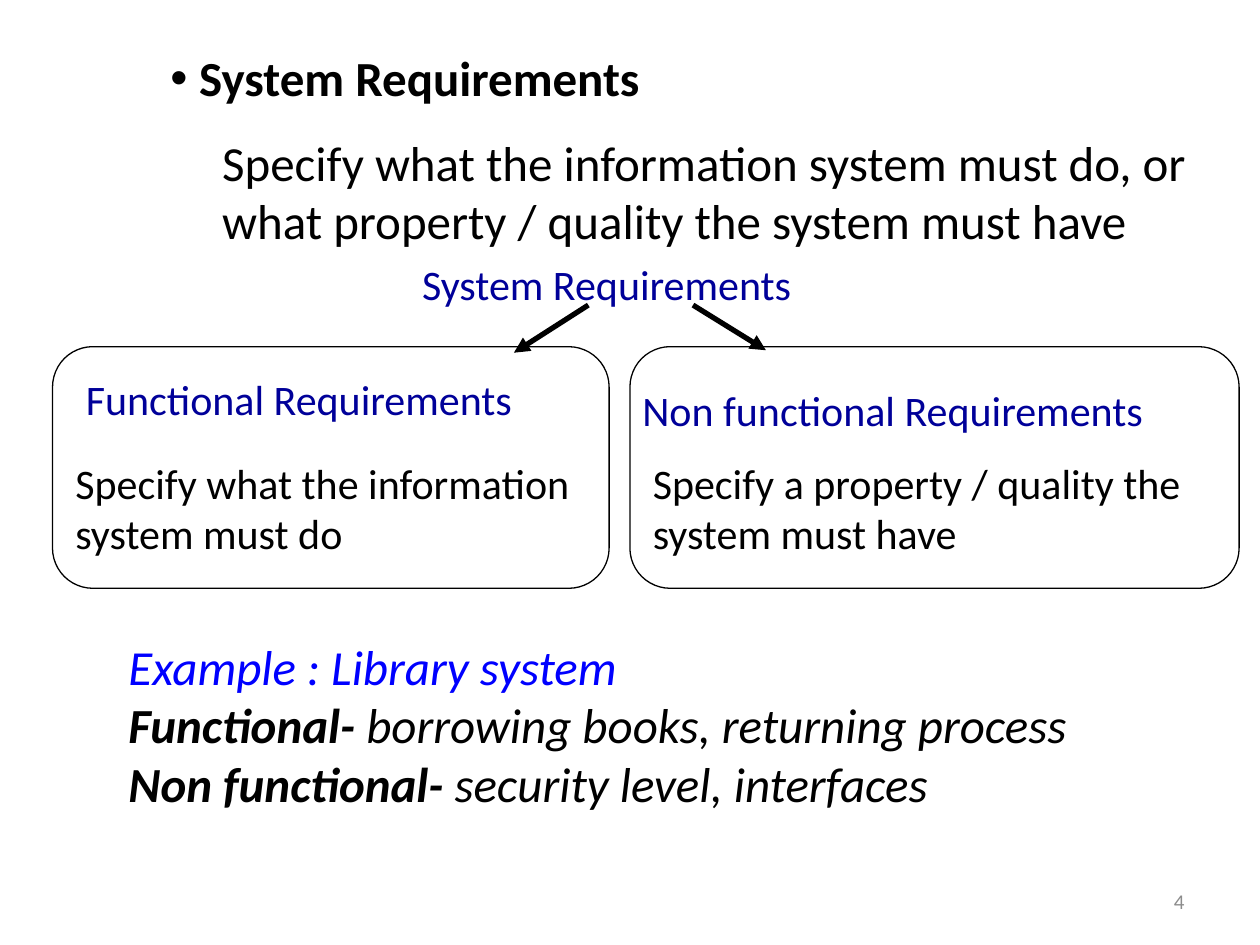
"""Build a slide that splits system requirements into functional and non functional ones."""
from dataclasses import dataclass

from lxml import etree
from pptx import Presentation
from pptx.dml.color import RGBColor
from pptx.enum.shapes import MSO_CONNECTOR, MSO_SHAPE
from pptx.enum.text import MSO_ANCHOR, MSO_AUTO_SIZE, PP_ALIGN
from pptx.oxml.ns import qn
from pptx.util import Cm, Pt

STRAIGHT = MSO_CONNECTOR.STRAIGHT
ROUNDED = MSO_SHAPE.ROUNDED_RECTANGLE
TOP, MIDDLE = MSO_ANCHOR.TOP, MSO_ANCHOR.MIDDLE
NO_FIT = MSO_AUTO_SIZE.NONE
LEFT, RIGHT = PP_ALIGN.LEFT, PP_ALIGN.RIGHT


@dataclass(frozen=True)
class Theme:
    font: str = "Calibri"
    ink: RGBColor = RGBColor(0x00, 0x00, 0x00)
    heading: RGBColor = RGBColor(0x00, 0x00, 0x99)
    example: RGBColor = RGBColor(0x00, 0x00, 0xFF)
    muted: RGBColor = RGBColor(0x8C, 0x8C, 0x8C)
    large: Pt = Pt(28)
    medium: Pt = Pt(24)
    small: Pt = Pt(12)
    outline: Pt = Pt(0.75)
    arrow: Pt = Pt(3)


THEME = Theme()


def add_run(paragraph, text, size, color, bold=False, italic=False):
    run = paragraph.add_run()
    run.text = text
    run.font.name = THEME.font
    run.font.size = size
    run.font.color.rgb = color
    run.font.bold = bold
    run.font.italic = italic


def add_text_frame(left, top, width, height):
    frame = slide.shapes.add_textbox(Cm(left), Cm(top), Cm(width), Cm(height)).text_frame
    frame.word_wrap = True
    return frame


prs = Presentation()
prs.slide_width, prs.slide_height = Cm(25.4), Cm(19.05)
slide = prs.slides.add_slide(prs.slide_layouts[5])

title = slide.shapes.title
title.left, title.top, title.width, title.height = Cm(3.18), Cm(0.84), Cm(16.3), Cm(1.45)
title.text_frame.auto_size = NO_FIT
title.text_frame.vertical_anchor = TOP
topic = title.text_frame.paragraphs[0]
topic.alignment = LEFT
topic_properties = topic._p.get_or_add_pPr()
topic_properties.set("marL", str(Cm(0.58)))
topic_properties.set("indent", str(-Cm(0.58)))
etree.SubElement(topic_properties, qn("a:buFont"), typeface="Arial")
etree.SubElement(topic_properties, qn("a:buChar"), char="•")
add_run(topic, "System Requirements", THEME.large, THEME.ink, bold=True)

statements = [
    ("Specify what the information system must do, or what property / quality the system must have",
     (4.23, 2.54, 20.32, 2.64), THEME.large, THEME.ink),
    ("System Requirements", (8.26, 5.08, 9.95, 1.27), THEME.medium, THEME.heading),
    ("Functional Requirements", (1.48, 7.41, 9.95, 1.27), THEME.medium, THEME.heading),
    ("Non functional Requirements", (12.7, 7.62, 11.64, 1.27), THEME.medium, THEME.heading),
    ("Specify what the information system must do",
     (1.27, 9.1, 11.22, 2.29), THEME.medium, THEME.ink),
    ("Specify a property / quality the system must have",
     (12.91, 9.1, 12.49, 2.29), THEME.medium, THEME.ink),
]
for text, place, size, color in statements:
    add_run(add_text_frame(*place).paragraphs[0], text, size, color)

for left, width in [(1.06, 11.22), (12.7, 12.28)]:
    branch = slide.shapes.add_shape(ROUNDED, Cm(left), Cm(6.99), Cm(width), Cm(4.87))
    branch.shadow.inherit = False
    branch.fill.background()
    branch.line.color.rgb = THEME.ink
    branch.line.width = THEME.outline

for start_x, end_x, end_y in [(11.86, 10.36, 7.11), (13.97, 15.44, 7.06)]:
    arrow = slide.shapes.add_connector(STRAIGHT, Cm(start_x), Cm(6.15), Cm(end_x), Cm(end_y))
    arrow.line.color.rgb = THEME.ink
    arrow.line.width = THEME.arrow
    etree.SubElement(arrow.line._get_or_add_ln(), qn("a:tailEnd"), type="triangle")
    etree.SubElement(arrow._element.spPr, qn("a:effectLst"))

example = add_text_frame(2.34, 12.7, 20.12, 3.84)
add_run(example.paragraphs[0], "Example : Library system", THEME.large, THEME.example, italic=True)
for kind, cases in [("Functional- ", "borrowing books, returning process"),
                    ("Non functional- ", "security level, interfaces")]:
    line = example.add_paragraph()
    add_run(line, kind, THEME.large, THEME.ink, bold=True, italic=True)
    add_run(line, cases, THEME.large, THEME.ink, italic=True)

page = add_text_frame(18.21, 17.65, 5.92, 1.02)
page.vertical_anchor = MIDDLE
page.paragraphs[0].alignment = RIGHT
add_run(page.paragraphs[0], "4", THEME.small, THEME.muted)

prs.save("out.pptx")
